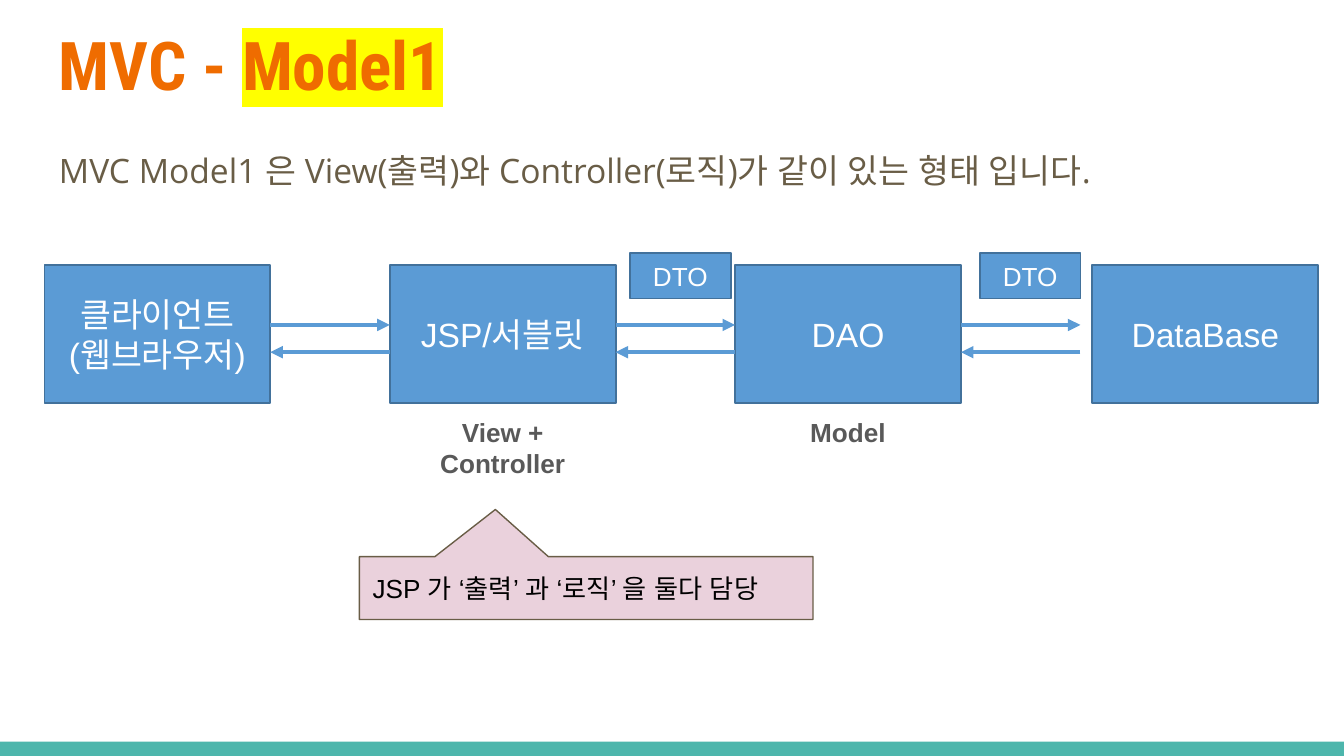
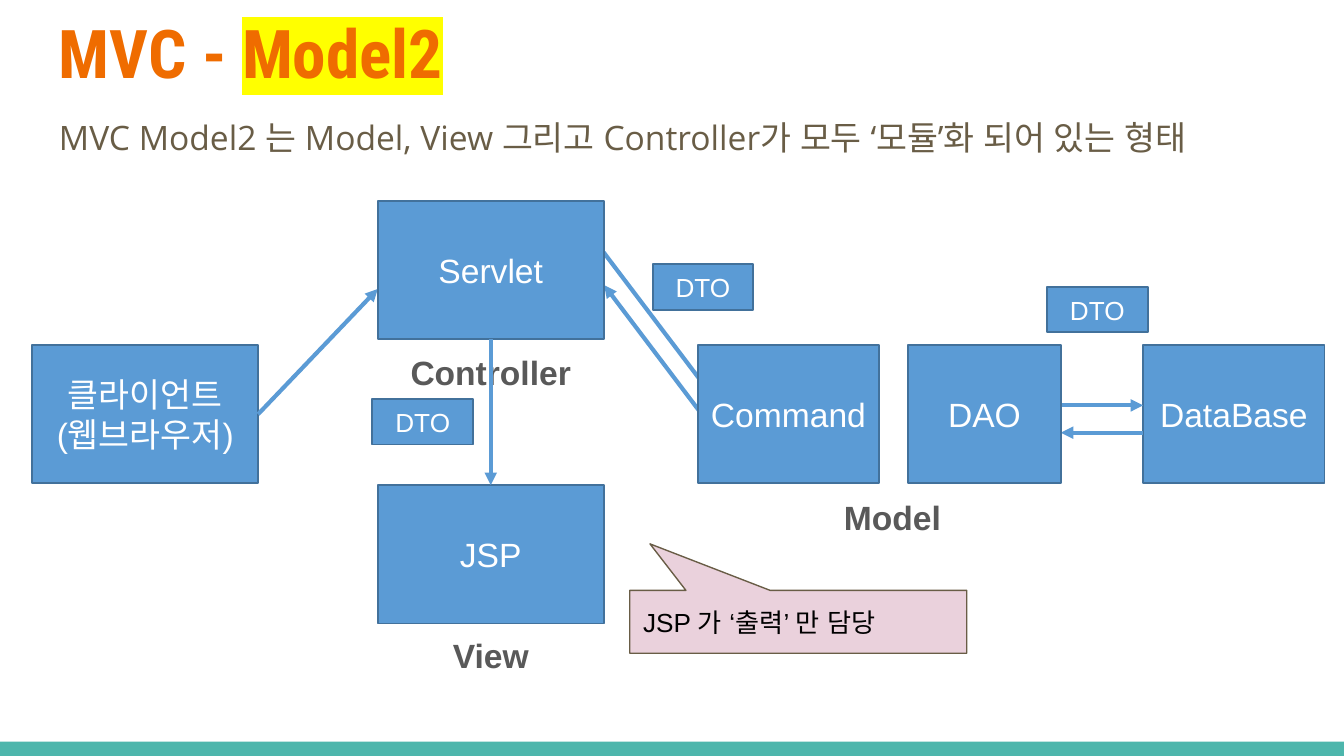
from lxml.etree import SubElement
from pptx import Presentation
from pptx.dml.color import RGBColor
from pptx.enum.shapes import MSO_CONNECTOR, MSO_SHAPE
from pptx.enum.text import MSO_ANCHOR, PP_ALIGN
from pptx.oxml import parse_xml
from pptx.oxml.ns import nsdecls, qn
from pptx.util import Pt

COLORS = {
    "band": "4DB6AC",
    "title": "EF6C00",
    "highlight": "FFFF00",
    "body": "695D46",
    "box": "5B9BD5",
    "edge": "42719B",
    "label": "595959",
    "callout": "EAD1DC",
    "white": "FFFFFF",
    "black": "000000",
}
WIDTH, HEIGHT = 720, 405
BOX_W, BOX_H = 121, 74.2
DTO_W, DTO_H = 54, 24.5
CLIENT = ["클라이언트", "(웹브라우저)"]


def rgb(name):
    return RGBColor.from_string(COLORS[name])


class Deck:
    def __init__(self):
        self.prs = Presentation()
        self.prs.slide_width, self.prs.slide_height = Pt(WIDTH), Pt(HEIGHT)
        self.s = None

    def slide(self, title, marked, title_y, body, body_y):
        self.s = self.prs.slides.add_slide(self.prs.slide_layouts[6])
        self.shape(MSO_SHAPE.RECTANGLE, 0, 397.3, WIDTH, 7.7, "band")
        tf = self.textbox(24.5, title_y, 671, 55.5, 7.2, 7.2)
        p = tf.paragraphs[0]
        for text in (title, marked):
            r = self.run(p, text, 36, "title", "Roboto Condensed", True)
        mark = parse_xml(
            f'<a:highlight {nsdecls("a")}>'
            f'<a:srgbClr val="{COLORS["highlight"]}"/></a:highlight>')
        r.font._element.find(qn("a:solidFill")).addnext(mark)
        tf = self.textbox(24.5, body_y, 671, 35, 7.2, 7.2)
        p = tf.paragraphs[0]
        p.line_spacing, p.space_after = 1.15, Pt(16)
        self.run(p, body, 18, "body", "Open Sans")

    def run(self, p, text, size, color, font="Arial", bold=False):
        r = p.add_run()
        r.text = text
        r.font.size, r.font.name, r.font.bold = Pt(size), font, bold
        r.font.color.rgb = rgb(color)
        SubElement(r.font._element, qn("a:ea")).set("typeface", font)
        return r

    def frame(self, sp, inset_x, inset_y, anchor):
        tf = sp.text_frame
        tf.word_wrap, tf.vertical_anchor = True, anchor
        tf.margin_left = tf.margin_right = Pt(inset_x)
        tf.margin_top = tf.margin_bottom = Pt(inset_y)
        return tf

    def textbox(self, x, y, w, h, inset_x=5, inset_y=2.7):
        sp = self.s.shapes.add_textbox(Pt(x), Pt(y), Pt(w), Pt(h))
        return self.frame(sp, inset_x, inset_y, MSO_ANCHOR.TOP)

    def shape(self, kind, x, y, w, h, fill, line=None, weight=1):
        sp = self.s.shapes.add_shape(kind, Pt(x), Pt(y), Pt(w), Pt(h))
        sp.shadow.inherit = False
        sp.fill.solid()
        sp.fill.fore_color.rgb = rgb(fill)
        if line:
            sp.line.color.rgb = rgb(line)
            sp.line.width = Pt(weight)
        else:
            sp.line.fill.background()
        return sp

    def box(self, lines, x, y, w=BOX_W, h=BOX_H, size=18):
        sp = self.shape(MSO_SHAPE.RECTANGLE, x, y, w, h, "box", "edge")
        tf = self.frame(sp, 5, 2.7, MSO_ANCHOR.MIDDLE)
        for i, text in enumerate(lines):
            p = tf.add_paragraph() if i else tf.paragraphs[0]
            p.alignment = PP_ALIGN.CENTER
            self.run(p, text, size, "white")

    def dto(self, x, y):
        self.box(["DTO"], x, y, DTO_W, DTO_H, 14)

    def label(self, text, x, y, w=BOX_W, size=18):
        p = self.textbox(x, y, w, 16.5).paragraphs[0]
        p.alignment = PP_ALIGN.CENTER
        self.run(p, text, size, "label", bold=True)

    def arrow(self, x1, y1, x2, y2):
        c = self.s.shapes.add_connector(
            MSO_CONNECTOR.STRAIGHT, Pt(x1), Pt(y1), Pt(x2), Pt(y2))
        c.line.color.rgb = rgb("box")
        c.line.width = Pt(2.25)
        SubElement(c.line._get_or_add_ln(), qn("a:tailEnd")).set("type", "triangle")
        SubElement(c._element.spPr, qn("a:effectLst"))

    def exchange(self, x1, x2, y):
        self.arrow(x1, y, x2, y)
        self.arrow(x2, y + 14.6, x1, y + 14.6)

    def callout(self, text, x, y, w, tip_x, tip_y):
        sp = self.shape(MSO_SHAPE.ROUNDED_RECTANGULAR_CALLOUT,
                        x, y, w, 33.7, "callout", "body", 0.75)
        for i, value in enumerate((tip_x, tip_y, 0)):
            sp.adjustments[i] = value
        p = self.frame(sp, 7.2, 7.2, MSO_ANCHOR.MIDDLE).paragraphs[0]
        p.alignment = PP_ALIGN.LEFT
        self.run(p, text, 14, "black")


def model1(deck):
    deck.slide("MVC - ", "Model1", 5.2,
               "MVC Model1 은 View(출력)와 Controller(로직)가 같이 있는 형태 입니다.", 70)
    left, top, pitch = 23.8, 141.9, 185
    client_x, jsp_x, dao_x = [left + pitch * i for i in range(3)]
    for lines, x in ((CLIENT, client_x), (["JSP/서블릿"], jsp_x),
                     (["DAO"], dao_x), (["DataBase"], 585.2)):
        deck.box(lines, x, top)
    for x in (client_x, jsp_x, dao_x):
        deck.exchange(x + BOX_W, x + pitch, 174.1)
    deck.label("View + Controller", jsp_x, 220.3, size=14)
    deck.label("Model", dao_x, 220.3, size=14)
    for x in (524.9, 337.5):
        deck.dto(x, 135.5)
    deck.callout("JSP 가 ‘출력’ 과 ‘로직’ 을 둘다 담당", 192.5, 298.2, 243, -0.2, -1.25)


def model2(deck):
    deck.slide("MVC - ", "Model2", -0.9,
               "MVC Model2 는 Model, View 그리고 Controller가 모두 ‘모듈’화 되어 있는 형태", 52)
    row_y, servlet_x, servlet_y, jsp_y = 184.8, 202.4, 107.6, 259.9
    servlet_right, mid_x = servlet_x + BOX_W, servlet_x + BOX_W / 2
    command_x, dao_x, dao_w, database_x, wide = 373.8, 486.5, 81.8, 612.4, 97.2
    deck.box(CLIENT, 17.3, row_y)
    deck.box(["JSP"], servlet_x, jsp_y)
    deck.arrow(138.3, 221.9, servlet_x, 154.8)
    deck.arrow(servlet_right, 135.2, 389, 221.9)
    deck.box(["DataBase"], database_x, row_y, wide)
    deck.exchange(dao_x + dao_w, database_x, 217.2)
    deck.arrow(389, 239.2, servlet_right + 0.3, 152.8)
    deck.label("View", servlet_x, 337.2)
    deck.label("Model", 387.9, 263.3, 180.5)
    deck.box(["Servlet"], servlet_x, servlet_y)
    deck.label("Controller", servlet_x, 186)
    deck.arrow(mid_x, servlet_y + BOX_H, mid_x, jsp_y)
    deck.box(["DAO"], dao_x, row_y, dao_w)
    deck.box(["Command"], command_x, row_y, wide)
    for x, y in ((560.9, 153.6), (349.6, 141.6), (199.5, 213.7)):
        deck.dto(x, y)
    deck.callout("JSP 가 ‘출력’ 만 담당", 337.4, 316.3, 180.5, -0.44, -1.24)


def main():
    deck = Deck()
    model1(deck)
    model2(deck)
    deck.prs.save("out.pptx")


if __name__ == "__main__":
    main()
